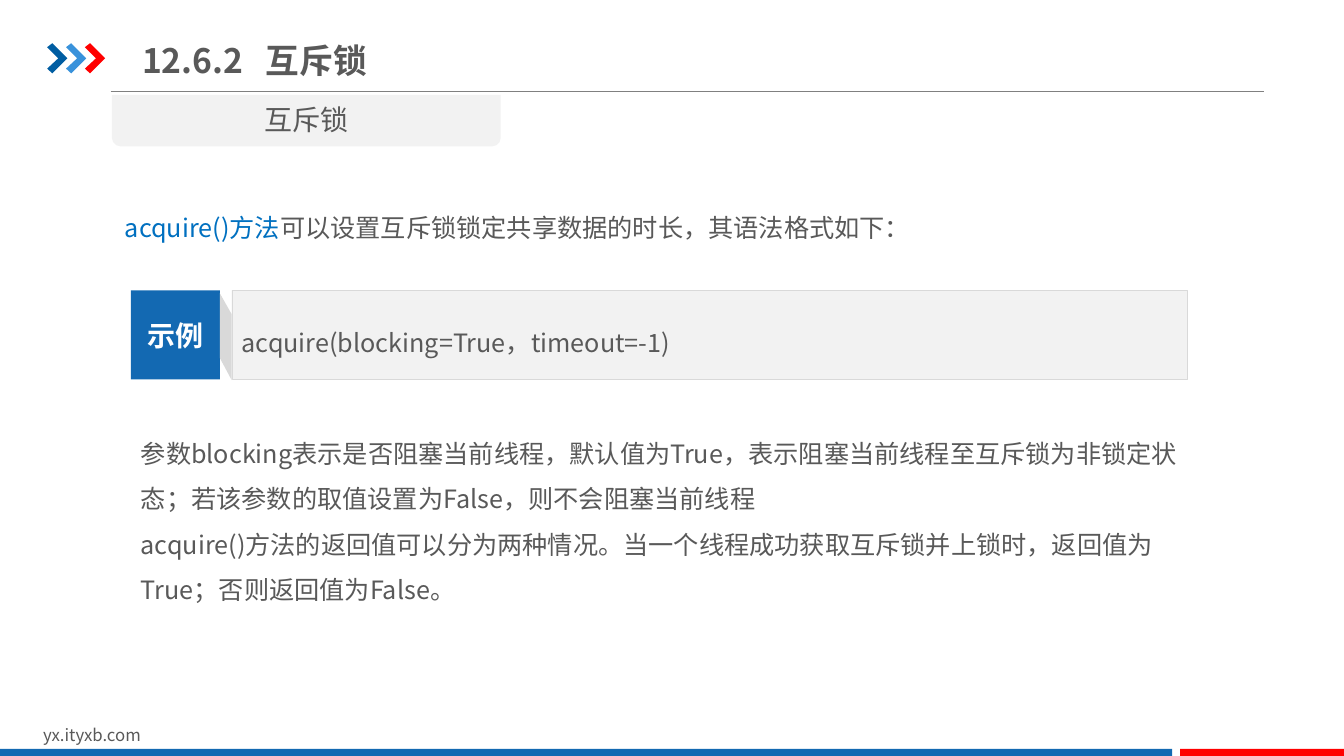
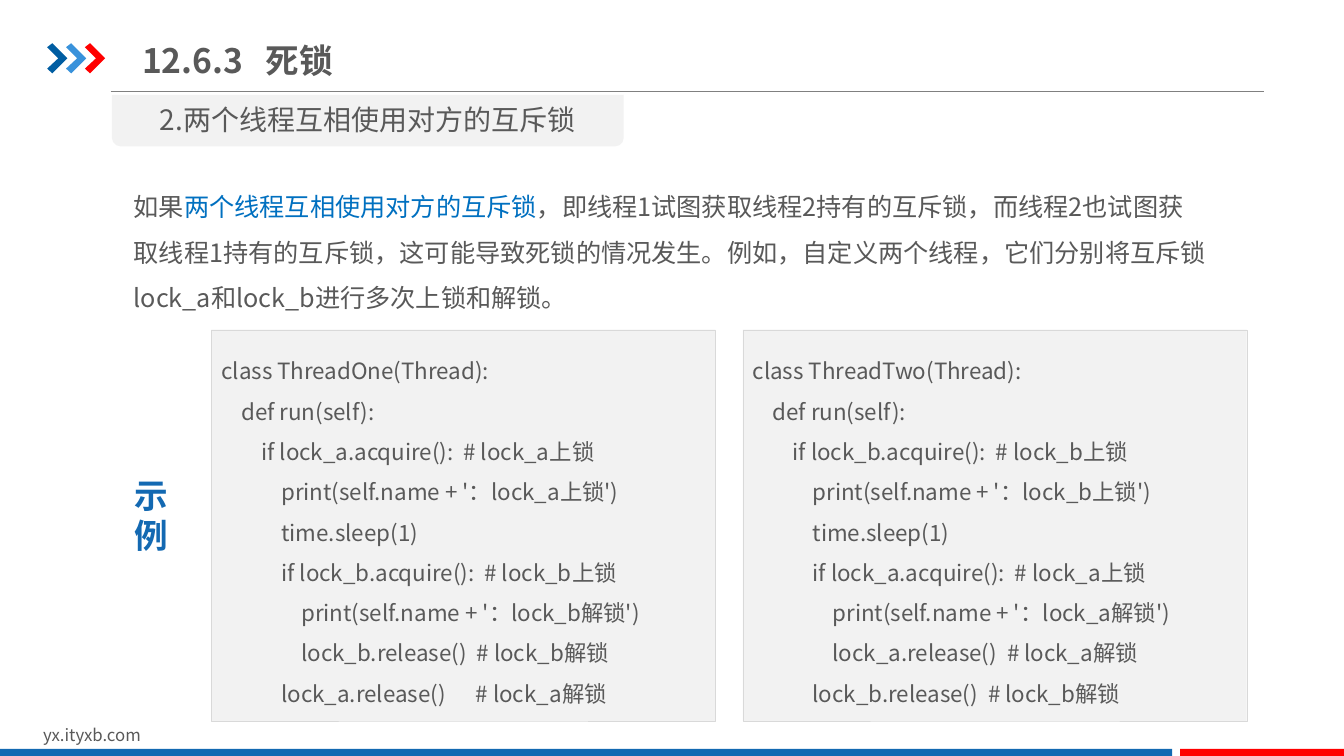
"""Build two lesson slides on mutual-exclusion locks and deadlock."""
from lxml import etree
from pptx import Presentation
from pptx.dml.color import RGBColor
from pptx.enum import shapes, text
from pptx.oxml import ns
from pptx.util import Cm, Pt

FONT = "Noto Sans CJK SC"
COLOURS = {
    "text": "595959", "accent": "0070C0", "brand": "1369B2", "red": "FF0000",
    "navy": "005DA2", "sky": "3992DB", "panel": "F2F2F2", "edge": "D9D9D9",
    "rule": "808080", "white": "FFFFFF",
}
LEFT, CENTER = text.PP_ALIGN.LEFT, text.PP_ALIGN.CENTER
TOP, MIDDLE = text.MSO_ANCHOR.TOP, text.MSO_ANCHOR.MIDDLE
RECT = shapes.MSO_SHAPE.RECTANGLE

FOOTER = "yx.ityxb.com"
CHEVRON = [(0, 0.1), (0.13, 0), (0.51, 0.38), (0.13, 0.76), (0, 0.64), (0.28, 0.38)]
WEDGE = [(5.84, 7.92), (5.84, 9.58), (5.54, 9.02), (5.54, 7.39)]

MUTEX = {
    "title": ("12.6.2", "互斥锁"),
    "tab": ("互斥锁", 9.8),
    "intro": [[("acquire()方法", "accent"),
               ("可以设置互斥锁锁定共享数据的时长，其语法格式如下：", "text")]],
    "syntax": "acquire(blocking=True，timeout=-1)",
    "notes": [
        "参数blocking表示是否阻塞当前线程，默认值为True，表示阻塞当前线程至互斥锁为非锁定状态；"
        "若该参数的取值设置为False，则不会阻塞当前线程",
        "acquire()方法的返回值可以分为两种情况。当一个线程成功获取互斥锁并上锁时，"
        "返回值为True；否则返回值为False。",
    ],
}
DEADLOCK = {
    "title": ("12.6.3", "死锁"),
    "tab": ("2.两个线程互相使用对方的互斥锁", 12.9),
    "intro": [[("如果", "text"), ("两个线程互相使用对方的互斥锁", "accent"),
               ("，即线程1试图获取线程2持有的互斥锁，而线程2也试图获取线程1持有的互斥锁，"
                "这可能导致死锁的情况发生。例如，自定义两个线程，"
                "它们分别将互斥锁lock_a和lock_b进行多次上锁和解锁。", "text")]],
    "threads": [
        {"name": "One", "own": "lock_a", "other": "lock_b", "gap": "      "},
        {"name": "Two", "own": "lock_b", "other": "lock_a", "gap": "  "},
    ],
}
THREAD_CODE = """class Thread{name}(Thread):
    def run(self):
        if {own}.acquire():  # {own}上锁
            print(self.name + '：{own}上锁')
            time.sleep(1)
            if {other}.acquire():  # {other}上锁
                print(self.name + '：{other}解锁')
                {other}.release()  # {other}解锁
            {own}.release(){gap}# {own}解锁"""


def rgb(name):
    return RGBColor.from_string(COLOURS[name])


def write(box, paras, size, colour="text", bold=False, align=LEFT, anchor=TOP,
          spacing=1.0, wrap=True, tab_stop=None):
    frame = box.text_frame
    frame.word_wrap = wrap
    frame.vertical_anchor = anchor
    for index, spans in enumerate(paras):
        para = frame.add_paragraph() if index else frame.paragraphs[0]
        para.alignment = align
        para.line_spacing = spacing
        if tab_stop:
            stops = etree.SubElement(para._p.get_or_add_pPr(), ns.qn("a:tabLst"))
            etree.SubElement(stops, ns.qn("a:tab"), pos=str(Cm(tab_stop)), algn="l")
        for words, tint in [(spans, colour)] if isinstance(spans, str) else spans:
            span = para.add_run()
            span.text = words
            span.font.size = Pt(size)
            span.font.bold = bold
            span.font.name = FONT
            span.font.color.rgb = rgb(tint)
            latin = span.font._element.find(ns.qn("a:latin"))
            latin.addnext(latin.makeelement(ns.qn("a:ea"), {"typeface": FONT}))


def add_text(page, area, paras, size, **style):
    box = page.shapes.add_textbox(*map(Cm, area))
    write(box, paras, size, **style)


def paint(shape, fill, edge=None):
    shape.shadow.inherit = False
    shape.fill.solid()
    shape.fill.fore_color.rgb = rgb(fill)
    if edge:
        shape.line.color.rgb = rgb(edge)
        shape.line.width = Pt(0.25)
    else:
        shape.line.fill.background()


def add_block(page, kind, area, fill, edge=None):
    shape = page.shapes.add_shape(kind, *map(Cm, area))
    paint(shape, fill, edge)
    return shape


def add_outline(page, points, fill):
    corners = [(Cm(x), Cm(y)) for x, y in points]
    builder = page.shapes.build_freeform(*corners[0], scale=1.0)
    builder.add_line_segments(corners[1:], close=True)
    paint(builder.convert_to_shape(), fill)


def add_code(page, area, lines, size):
    panel = add_block(page, RECT, area, "panel", "edge")
    write(panel, lines, size, anchor=MIDDLE, spacing=1.5)


def add_page(deck, content):
    page = deck.slides.add_slide(deck.slide_layouts[6])
    rule = page.shapes.add_connector(
        shapes.MSO_CONNECTOR.STRAIGHT, Cm(2.79), Cm(2.31), Cm(31.85), Cm(2.31))
    rule.line.color.rgb = rgb("rule")
    rule.line.width = Pt(0.75)
    etree.SubElement(rule._element.spPr, ns.qn("a:effectLst"))
    for index, colour in enumerate(("navy", "sky", "red")):
        left = 1.19 + 0.475 * index
        add_outline(page, [(left + x, 1.09 + y) for x, y in CHEVRON], colour)
    add_text(page, (0.84, 18.14, 8.08, 0.76), [FOOTER], 12)
    for left, width, colour in ((0, 29.54, "brand"), (29.74, 4.13, "red")):
        add_block(page, RECT, (left, 18.87, width, 0.18), colour)
    add_text(page, (3.33, 0.74, 16.1, 1.55), ["\t".join(content["title"])], 24,
             bold=True, anchor=MIDDLE, tab_stop=3.12)
    label, width = content["tab"]
    tab = add_block(page, shapes.MSO_SHAPE.ROUND_2_SAME_RECTANGLE,
                    (2.82, 2.39, width, 1.3), "panel")
    tab.adjustments[0], tab.adjustments[1] = 0, 0.17
    write(tab, [label], 20, align=CENTER, anchor=MIDDLE)
    return page


def build_mutex(deck):
    page = add_page(deck, MUTEX)
    add_text(page, (2.9, 4.85, 27.5, 1.4), MUTEX["intro"], 18, spacing=1.5)
    add_code(page, (5.84, 7.32, 24.08, 2.24), [MUTEX["syntax"]], 18)
    badge = add_block(page, RECT, (3.3, 7.32, 2.24, 2.24), "brand")
    write(badge, ["示例"], 20, colour="white", bold=True, align=CENTER,
          anchor=MIDDLE, wrap=False)
    add_outline(page, WEDGE, "edge")
    add_text(page, (3.3, 10.54, 27.13, 4.88), MUTEX["notes"], 18, spacing=1.5)


def build_deadlock(deck):
    page = add_page(deck, DEADLOCK)
    add_text(page, (3.12, 4.32, 27.53, 3.76), DEADLOCK["intro"], 18, spacing=1.5)
    add_text(page, (2.72, 11.84, 2.18, 2.79), ["示", "例"], 24,
             colour="brand", bold=True, align=CENTER)
    for index, thread in enumerate(DEADLOCK["threads"]):
        area = (5.33 + 13.39 * index, 8.31, 12.7, 9.86)
        add_code(page, area, THREAD_CODE.format(**thread).split("\n"), 16)


def main():
    deck = Presentation()
    deck.slide_width, deck.slide_height = Cm(33.87), Cm(19.05)
    build_mutex(deck)
    build_deadlock(deck)
    deck.save("out.pptx")


if __name__ == "__main__":
    main()
